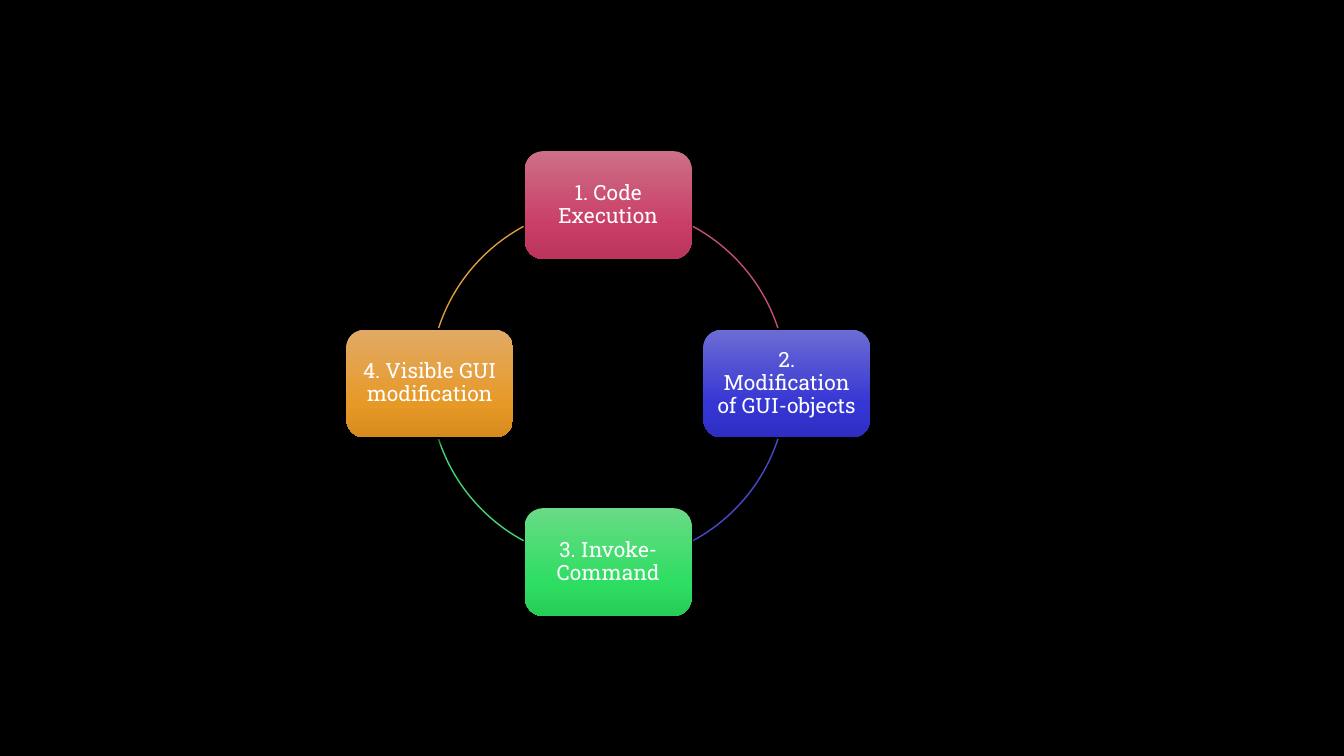
from copy import deepcopy
from math import cos, radians, sin

from lxml.etree import SubElement
from pptx import Presentation
from pptx.dml.color import RGBColor as Rgb
from pptx.enum.shapes import MSO_SHAPE as Preset
from pptx.enum.text import MSO_ANCHOR as Anchor, PP_ALIGN as Align
from pptx.oxml.ns import qn
from pptx.util import Pt

FONT = "Roboto Slab"
COLORS = {
    "background": "000000",
    "text": "FFFFFF",
    "shadow": "000000",
    "execution": ("CC7087", "CA3D66", "BA355B"),
    "objects": ("6C6CD4", "3636D4", "2E2EC3"),
    "command": ("69DB86", "2EDE62", "26CD58"),
    "visible": ("E2AA66", "E79926", "D68B1F"),
    "execution arc": "C54F71",
    "objects arc": "4949CD",
    "command arc": "42D66E",
    "visible arc": "DE9C3C",
}
STEPS = [
    ("execution", "1. Code Execution"),
    ("objects", "2. Modification of GUI-objects"),
    ("command", "3. Invoke-Command"),
    ("visible", "4. Visible GUI modification"),
]
STOPS = (0, 0.69, 1)
STEP_WIDTH, STEP_HEIGHT = 119, 77
SIDE_ANGLE, END_ANGLE = 18.1, 61.7


def paint_gradient(step, shades):
    """Fill a step with a vertical gradient of three shades."""
    step.fill.gradient()
    step.fill.gradient_angle = 270
    stop_list = step._element.spPr.find(qn("a:gradFill")).find(qn("a:gsLst"))
    stop_list.append(deepcopy(stop_list[0]))
    for stop, position, shade in zip(step.fill.gradient_stops, STOPS, shades):
        stop.position = position
        stop.color.rgb = Rgb.from_string(shade)


def cast_shadow(step):
    """Give a step a soft shadow straight below it."""
    step.shadow.inherit = False
    effects = step._element.spPr.find(qn("a:effectLst"))
    shadow = SubElement(effects, qn("a:outerShdw"), blurRad=str(Pt(4)), dist=str(Pt(3)),
                        dir="5400000", algn="ctr", rotWithShape="0")
    shade = SubElement(shadow, qn("a:srgbClr"), val=COLORS["shadow"])
    SubElement(shade, qn("a:alpha"), val="54000")


def add_step(slide, left, top, width, height, label, shades):
    """Draw one rounded step with its label in the given box."""
    step = slide.shapes.add_shape(Preset.ROUNDED_RECTANGLE, Pt(left), Pt(top), Pt(width), Pt(height))
    step.line.fill.background()
    paint_gradient(step, shades)
    cast_shadow(step)
    frame = step.text_frame
    frame.word_wrap = True
    frame.vertical_anchor = Anchor.MIDDLE
    frame.margin_left = frame.margin_right = frame.margin_top = frame.margin_bottom = Pt(4.5)
    frame.text = label
    paragraph = frame.paragraphs[0]
    paragraph.alignment = Align.CENTER
    paragraph.line_spacing = 0.9
    paragraph.space_after = Pt(5.25)
    font = paragraph.runs[0].font
    font.name, font.size = FONT, Pt(15)
    font.color.rgb = Rgb.from_string(COLORS["text"])


def add_arc(slide, left, top, size, start, end, color):
    """Draw the part of the ring between two clockwise angles in degrees."""
    arc = slide.shapes.add_shape(Preset.ARC, Pt(left), Pt(top), Pt(size), Pt(size))
    for index, angle in enumerate((start, end)):
        arc.adjustments[index] = angle * 0.6
    arc.shadow.inherit = False
    arc.fill.background()
    arc.line.color.rgb = Rgb.from_string(color)
    arc.line.width = Pt(1)


def add_cycle(slide, left, top, size):
    """Place the steps around a ring that fills the given square."""
    radius = size / 2
    for index, (key, label) in enumerate(STEPS):
        angle = radians(90 * index - 90)
        step_left = left + radius * (1 + cos(angle)) - STEP_WIDTH / 2
        step_top = top + radius * (1 + sin(angle)) - STEP_HEIGHT / 2
        add_step(slide, step_left, step_top, STEP_WIDTH, STEP_HEIGHT, label, COLORS[key])
        quarter = (270 + 90 * index) % 360
        near, far = (90 - END_ANGLE, 90 - SIDE_ANGLE) if index % 2 == 0 else (SIDE_ANGLE, END_ANGLE)
        add_arc(slide, left, top, size, quarter + near, quarter + far, COLORS[f"{key} arc"])


def main():
    """Build the slide and save it."""
    deck = Presentation()
    deck.slide_width, deck.slide_height = Pt(960), Pt(540)
    slide = deck.slides.add_slide(deck.slide_layouts[6])
    slide.background.fill.solid()
    slide.background.fill.fore_color.rgb = Rgb.from_string(COLORS["background"])
    add_cycle(slide, 307, 146.5, 255)
    deck.save("out.pptx")


if __name__ == "__main__":
    main()
